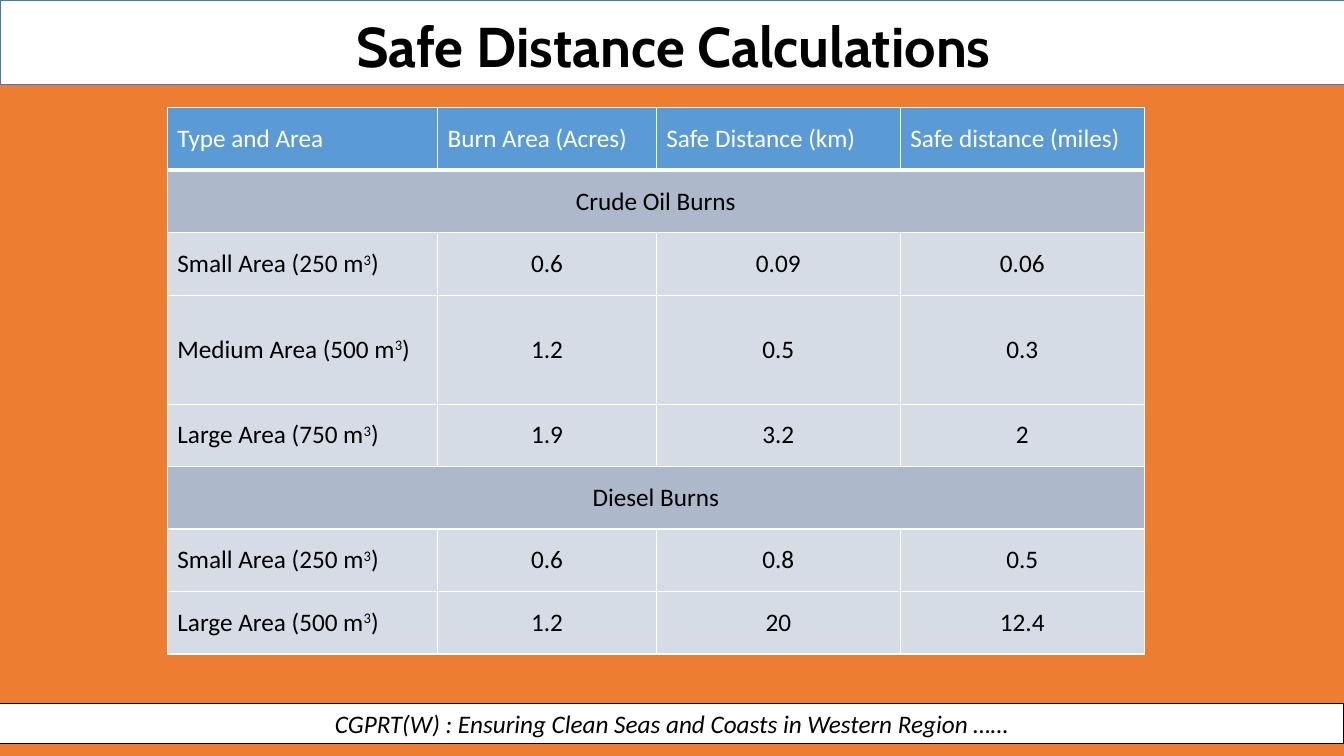
"""Build the slide on safe distances for oil burns."""
import dataclasses

import lxml.etree
import pptx
import pptx.dml.color
import pptx.enum.shapes
import pptx.enum.text
import pptx.oxml.ns
import pptx.util

ALIGN = pptx.enum.text.PP_ALIGN
ANCHOR = pptx.enum.text.MSO_ANCHOR


@dataclasses.dataclass(frozen=True)
class Theme:
    """Hold the colours, fonts and type sizes."""
    back: str = "ED7D31"
    white: str = "FFFFFF"
    black: str = "000000"
    edge: str = "4472C4"
    head: str = "5B9BD5"
    group: str = "ADB9CA"
    plain: str = "D6DCE5"
    title_font: str = "Cabin"
    font: str = "Calibri"
    title_size: int = 40
    size: int = 18


THEME = Theme()
COLS = [268, 217, 242, 242]
ROWS = [62, 62, 62, 108, 62, 62, 62, 62]
DATA = [
    ["Type and Area", "Burn Area (Acres)", "Safe Distance (km)", "Safe distance (miles)"],
    ["Crude Oil Burns"],
    ["Small Area (250 m^3^)", "0.6", "0.09", "0.06"],
    ["Medium Area (500 m^3^)", "1.2", "0.5", "0.3"],
    ["Large Area (750 m^3^)", "1.9", "3.2", "2"],
    ["Diesel Burns"],
    ["Small Area (250 m^3^)", "0.6", "0.8", "0.5"],
    ["Large Area (500 m^3^)", "1.2", "20", "12.4"],
]


def px(count):
    """Turn px into EMU, at 100 px to the inch."""
    return pptx.util.Emu(count * 9144)


def paint(fill, color):
    """Give a fill one solid colour."""
    fill.solid()
    fill.fore_color.rgb = pptx.dml.color.RGBColor.from_string(color)


def write(frame, text, *, color=THEME.black, font=THEME.font, size=THEME.size,
          align=ALIGN.CENTER, bold=False, italic=False, spacing=None):
    """Write one paragraph; text between carets is raised."""
    para = frame.paragraphs[0]
    para.alignment = align
    para.line_spacing = spacing
    for place, part in enumerate(text.split("^")):
        run = para.add_run()
        run.text = part
        run.font.name = font
        run.font.size = pptx.util.Pt(size)
        run.font.bold = bold
        run.font.italic = italic
        run.font.color.rgb = pptx.dml.color.RGBColor.from_string(color)
        if place % 2:
            run._r.get_or_add_rPr().set("baseline", "30000")


def add_band(slide, top, height, line, width):
    """Add a white band across the slide."""
    band = slide.shapes.add_shape(
        pptx.enum.shapes.MSO_SHAPE.RECTANGLE, 0, px(top), px(1333), px(height))
    band.shadow.inherit = False
    paint(band.fill, THEME.white)
    paint(band.line.fill, line)
    band.line.width = pptx.util.Pt(width)
    band.text_frame.word_wrap = True
    band.text_frame.vertical_anchor = ANCHOR.MIDDLE
    return band


def add_title(slide, text):
    """Set the title on top of its band."""
    band = add_band(slide, 0, 84, THEME.edge, 0.5)
    title = slide.shapes.title
    title.left, title.top, title.width, title.height = map(px, (50, 14, 1236, 61))
    band.element.addnext(title.element)
    frame = title.text_frame
    frame.word_wrap = True
    frame.auto_size = pptx.enum.text.MSO_AUTO_SIZE.NONE
    frame.vertical_anchor = ANCHOR.TOP
    write(frame, text, font=THEME.title_font, size=THEME.title_size,
          bold=True, spacing=0.9)


def add_edges(cell, base):
    """Draw white lines round a cell, with a base line in points."""
    props = cell._tc.get_or_add_tcPr()
    for side, width in {"L": 1, "R": 1, "T": 1, "B": base}.items():
        line = lxml.etree.SubElement(
            props, pptx.oxml.ns.qn(f"a:ln{side}"), w=str(pptx.util.Pt(width)))
        fill = lxml.etree.SubElement(line, pptx.oxml.ns.qn("a:solidFill"))
        lxml.etree.SubElement(fill, pptx.oxml.ns.qn("a:srgbClr"), val=THEME.white)


def add_grid(slide):
    """Add the table of burn areas and distances."""
    grid = slide.shapes.add_table(
        len(ROWS), len(COLS), px(166), px(107), px(sum(COLS)), px(sum(ROWS))).table
    for col, width in zip(grid.columns, COLS):
        col.width = px(width)
    for row, height in zip(grid.rows, ROWS):
        row.height = px(height)
    for y, texts in enumerate(DATA):
        head, group = y == 0, len(texts) == 1
        color = THEME.head if head else THEME.group if group else THEME.plain
        for x in range(len(COLS)):
            cell = grid.cell(y, x)
            add_edges(cell, 3 if head else 1)
            paint(cell.fill, color)
            cell.vertical_anchor = ANCHOR.MIDDLE
        if group:
            grid.cell(y, 0).merge(grid.cell(y, len(COLS) - 1))
        for x, text in enumerate(texts):
            left = head or (x == 0 and not group)
            write(grid.cell(y, x).text_frame, text,
                  color=THEME.white if head else THEME.black,
                  align=ALIGN.LEFT if left else ALIGN.CENTER)


def main():
    """Build and save the slide."""
    deck = pptx.Presentation()
    deck.slide_width, deck.slide_height = px(1333), px(750)
    slide = deck.slides.add_slide(deck.slide_layouts[5])
    paint(slide.background.fill, THEME.back)
    foot = add_band(slide, 698, 40, THEME.black, 0.75)
    write(foot.text_frame,
          "CGPRT(W) : Ensuring Clean Seas and Coasts in Western Region ……", italic=True)
    add_title(slide, "Safe Distance Calculations")
    add_grid(slide)
    deck.save("out.pptx")


if __name__ == "__main__":
    main()
